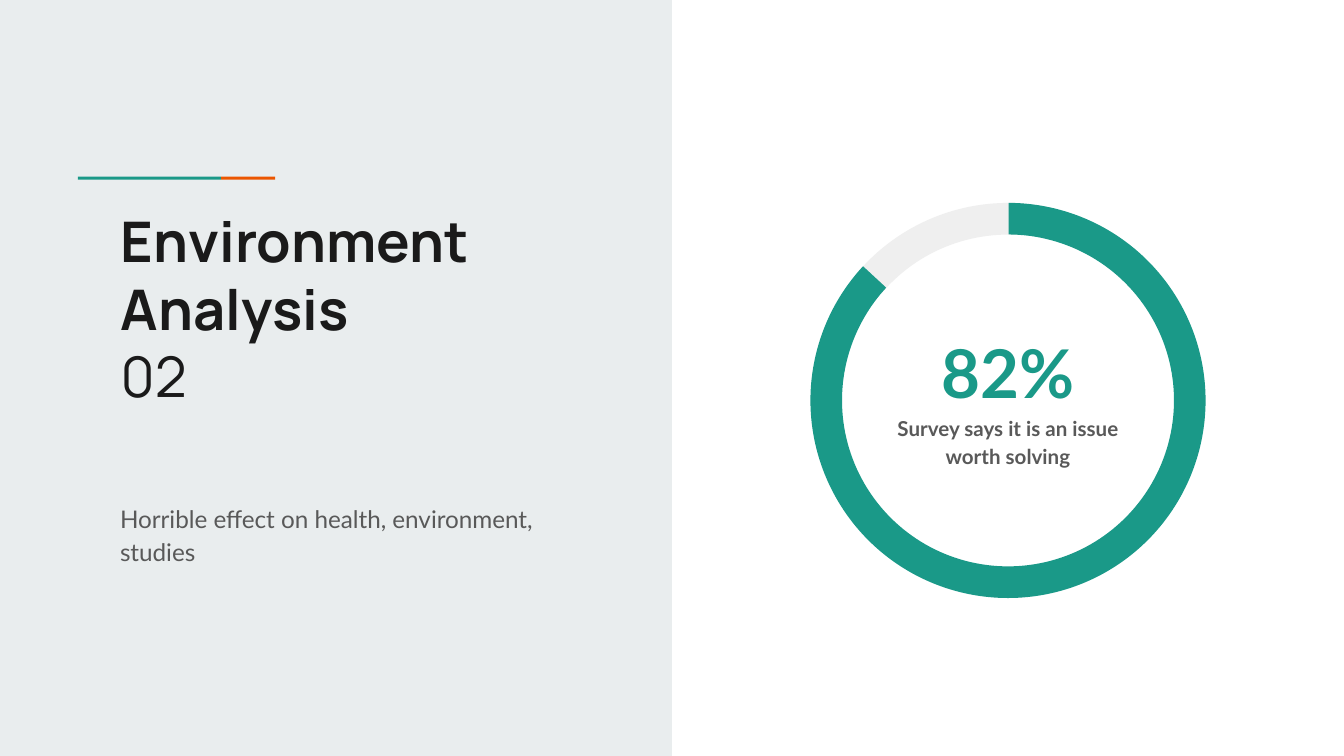
import pptx
import pptx.util
import pptx.dml.color
import pptx.enum.shapes
import pptx.enum.text

Pt = pptx.util.Pt
kinds = pptx.enum.shapes.MSO_SHAPE
align = pptx.enum.text.PP_ALIGN
hues = {"panel": "E9EDEE", "teal": "1A9988", "orange": "EB5600",
        "pale": "EFEFEF", "dark": "1A1A1A", "grey": "595959"}


def tint(name):
    return pptx.dml.color.RGBColor.from_string(hues[name])


deck = pptx.Presentation()
deck.slide_width, deck.slide_height = Pt(720), Pt(405)
slide = deck.slides.add_slide(deck.slide_layouts[6])

ring = (434.2, 108.7, 211.7, 211.7)
forms = [
    (kinds.RECTANGLE, (0, 0, 360, 405), "panel", 0, ()),
    (kinds.RECTANGLE, (118.4, 94.7, 29, 1.6), "orange", 0, ()),
    (kinds.RECTANGLE, (41.8, 94.7, 76.6, 1.6), "teal", 0, ()),
    (kinds.BLOCK_ARC, ring, "pale", 176.5, (26.28, 58.81, 0.08)),
    (kinds.BLOCK_ARC, ring, "teal", 0, (162.11, 133.67, 0.08)),
]
for kind, area, hue, turn, bends in forms:
    form = slide.shapes.add_shape(kind, *map(Pt, area))
    form.shadow.inherit = False
    form.fill.solid()
    form.fill.fore_color.rgb = tint(hue)
    form.line.fill.background()
    form.rotation = turn
    for spot, bend in enumerate(bends):
        form.adjustments[spot] = bend

title = {"name": "Manrope", "size": Pt(30)}
texts = [
    ((57.6, 103.7, 260, 133.2), "dark", {},
     [("Environment", {**title, "bold": True}),
      ("Analysis", {**title, "bold": True}),
      ("02", {**title, "bold": False})]),
    ((57.2, 260.6, 242, 59.8), "grey",
     {"line_spacing": 1.15, "space_after": Pt(10)},
     [("Horrible effect on health, environment, studies",
       {"name": "Lato", "size": Pt(13)})]),
    ((475.4, 164, 129, 50.4), "teal",
     {"line_spacing": 1.15, "alignment": align.CENTER},
     [("82%", {"name": "Lato", "size": Pt(36), "bold": True})]),
    ((463, 213.8, 154, 59.8), "grey",
     {"line_spacing": 1.15, "space_after": Pt(16), "alignment": align.CENTER},
     [("Survey says it is an issue worth solving",
       {"name": "Lato", "size": Pt(11), "bold": True})]),
]
for area, hue, style, lines in texts:
    frame = slide.shapes.add_textbox(*map(Pt, area)).text_frame
    frame.word_wrap = True
    for side in ("left", "top", "right", "bottom"):
        setattr(frame, "margin_" + side, Pt(7.2))
    for row, (words, face) in enumerate(lines):
        para = frame.add_paragraph() if row else frame.paragraphs[0]
        run = para.add_run()
        run.text = words
        run.font.color.rgb = tint(hue)
        for goal, values in ((para, style), (run.font, face)):
            for key, value in values.items():
                setattr(goal, key, value)

deck.save("out.pptx")
